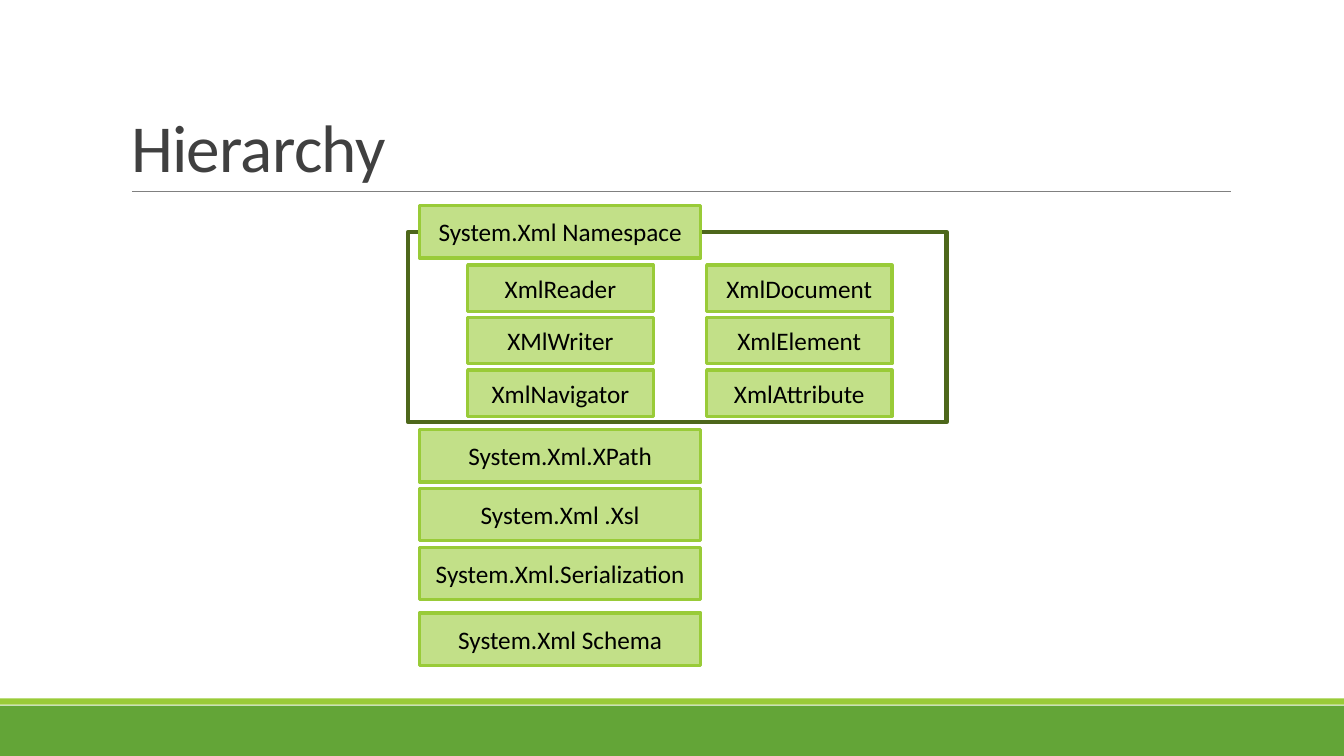
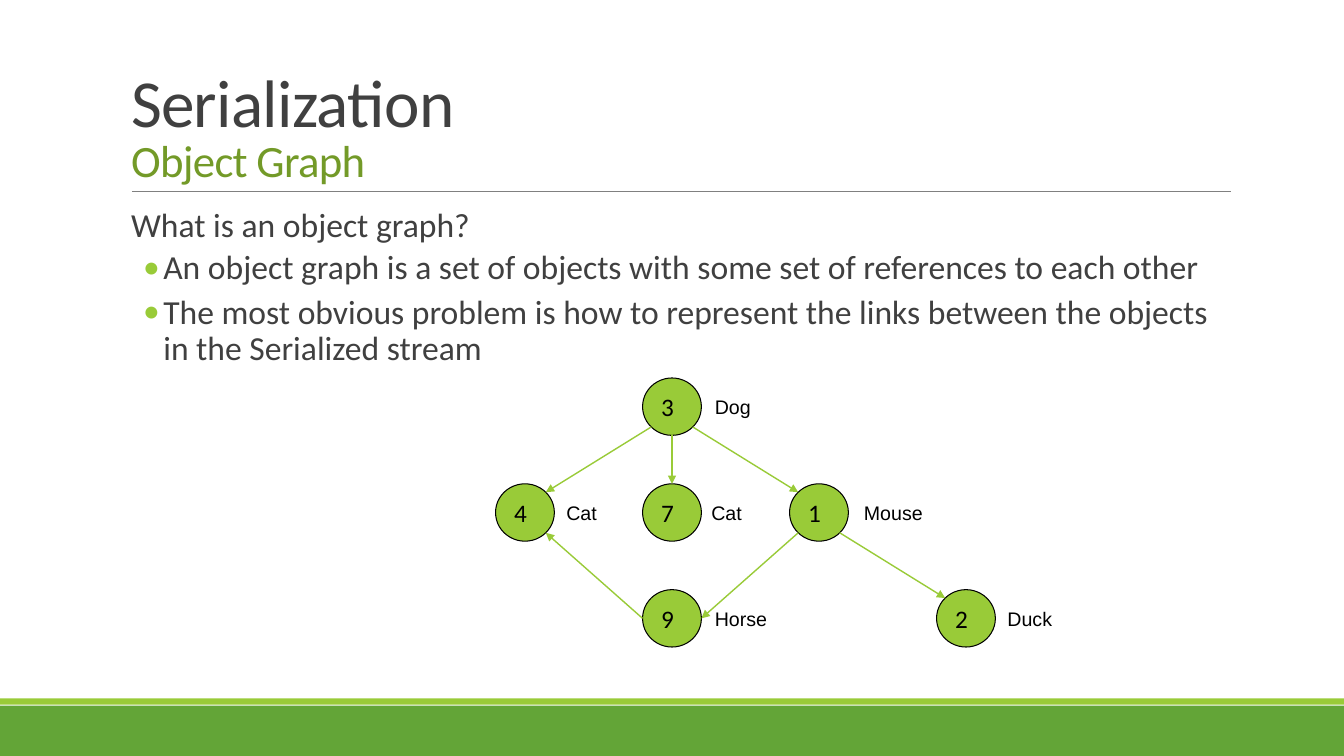
import math

import pptx
import pptx.dml.color
import pptx.enum.shapes
import pptx.enum.text
import pptx.oxml.ns
import pptx.oxml.xmlchemy
import pptx.util

Pt = pptx.util.Pt
qn = pptx.oxml.ns.qn
new_element = pptx.oxml.xmlchemy.OxmlElement
SHAPE = pptx.enum.shapes.MSO_SHAPE
ALIGN = pptx.enum.text.PP_ALIGN
ANCHOR = pptx.enum.text.MSO_ANCHOR
AUTO_SIZE = pptx.enum.text.MSO_AUTO_SIZE

COLORS = {
    "band": "63A537",
    "accent": "99CB38",
    "accent_light": "C2E088",
    "accent_dark": "4D671B",
    "subtitle": "739A28",
    "text": "404040",
    "rule": "808080",
    "black": "000000",
}
SLIDE_WIDTH, SLIDE_HEIGHT = 960, 540
CONTENT_LEFT, CONTENT_WIDTH = 86.4, 792
TITLE_BOX = (CONTENT_LEFT, 22.3, CONTENT_WIDTH, 114.5)
BODY_BOX = (CONTENT_LEFT, 145.4, CONTENT_WIDTH, 316.8)
TITLE_ONLY, TITLE_AND_CONTENT = 5, 1


def color(name):
    return pptx.dml.color.RGBColor.from_string(COLORS[name])


def place(shape, left, top, width, height):
    shape.left, shape.top = Pt(left), Pt(top)
    shape.width, shape.height = Pt(width), Pt(height)


def add_run(paragraph, text, size, color_name="black", font="Calibri"):
    run = paragraph.add_run()
    run.text = text
    run.font.name = font
    run.font.size = Pt(size)
    run.font.color.rgb = color(color_name)
    return run


def add_box(shapes, preset, box, fill=None, line=None, line_width=1):
    shape = shapes.add_shape(preset, *map(Pt, box))
    shape.shadow.inherit = False
    if fill:
        shape.fill.solid()
        shape.fill.fore_color.rgb = color(fill)
    else:
        shape.fill.background()
    if line:
        shape.line.color.rgb = color(line)
        shape.line.width = Pt(line_width)
    else:
        shape.line.fill.background()
    return shape


def add_line(slide, start, end, color_name, width, arrow=False):
    line = slide.shapes.add_connector(
        pptx.enum.shapes.MSO_CONNECTOR.STRAIGHT, *map(Pt, start + end))
    line.line.color.rgb = color(color_name)
    line.line.width = Pt(width)
    properties = line.element.spPr
    if arrow:
        tail = new_element("a:tailEnd")
        tail.set("type", "triangle")
        properties.find(qn("a:ln")).append(tail)
    properties.append(new_element("a:effectLst"))


def add_slide(presentation, layout_index, title, subtitle=None):
    """Add a slide with its bands, title rule and title."""
    slide = presentation.slides.add_slide(presentation.slide_layouts[layout_index])
    add_box(slide.shapes, SHAPE.RECTANGLE, (0, 504, SLIDE_WIDTH, 36), "band")
    add_box(slide.shapes, SHAPE.RECTANGLE, (0, 498.8, SLIDE_WIDTH, 4.6), "accent")
    add_line(slide, (94.3, 136.8), (879, 136.8), "rule", 0.5)

    place(slide.shapes.title, *TITLE_BOX)
    frame = slide.shapes.title.text_frame
    frame.auto_size = AUTO_SIZE.NONE
    frame.vertical_anchor = ANCHOR.BOTTOM
    paragraph = frame.paragraphs[0]
    paragraph.alignment = ALIGN.LEFT
    paragraph.line_spacing = 0.85
    runs = [add_run(paragraph, title, 48, "text")]
    if subtitle:
        paragraph.add_line_break()
        runs.append(add_run(paragraph, subtitle, 32, "subtitle"))
    for run in runs:
        run.font._element.set("spc", "-50")
    return slide


def set_bullet(paragraph, character, left, hanging):
    properties = paragraph._p.get_or_add_pPr()
    properties.set("marL", str(Pt(left)))
    properties.set("indent", str(-Pt(hanging)))
    if character is None:
        properties.append(new_element("a:buNone"))
        return
    bullet_color = new_element("a:buClr")
    value = new_element("a:srgbClr")
    value.set("val", COLORS["accent"])
    bullet_color.append(value)
    bullet_font = new_element("a:buFont")
    bullet_font.set("typeface", "Calibri")
    bullet = new_element("a:buChar")
    bullet.set("char", character)
    for element in (bullet_color, bullet_font, bullet):
        properties.append(element)


def fill_body(placeholder, box, heading, bullets):
    place(placeholder, *box)
    frame = placeholder.text_frame
    frame.auto_size = AUTO_SIZE.NONE
    frame.vertical_anchor = ANCHOR.TOP
    frame.margin_left = frame.margin_right = 0
    frame.margin_top = frame.margin_bottom = Pt(3.6)
    for index, text in enumerate([heading] + bullets):
        paragraph = frame.add_paragraph() if index else frame.paragraphs[0]
        if index:
            paragraph.level = 1
            set_bullet(paragraph, "•", 30.24, 14.4)
        else:
            set_bullet(paragraph, None, 7.2, 0)
        paragraph.alignment = ALIGN.LEFT
        paragraph.line_spacing = 0.9
        paragraph.space_before = Pt(2 if index else 0)
        paragraph.space_after = Pt(4 if index else 2)
        add_run(paragraph, text, 24, "text")


def add_hierarchy(slide, left, top):
    """Draw the namespaces in one column, the first framing its classes."""
    shapes = slide.shapes.add_group_shape().shapes

    def add_block(text, x, y, width, height):
        block = add_box(shapes, SHAPE.RECTANGLE, (left + x, top + y, width, height),
                        "accent_light", "accent", 2.25)
        frame = block.text_frame
        frame.word_wrap = False
        frame.vertical_anchor = ANCHOR.MIDDLE
        frame.paragraphs[0].alignment = ALIGN.CENTER
        add_run(frame.paragraphs[0], text, 18)

    add_box(shapes, SHAPE.RECTANGLE, (left, top + 18.7, 384.5, 136),
            line="accent_dark", line_width=3)
    class_columns = [
        ["XmlReader", "XMlWriter", "XmlNavigator"],
        ["XmlDocument", "XmlElement", "XmlAttribute"],
    ]
    for column, names in enumerate(class_columns):
        for row, name in enumerate(names):
            add_block(name, 42.5 + 170.6 * column, 42.4 + 37.5 * row, 132.5, 33)
    namespaces = [
        ("System.Xml Namespace", 0),
        ("System.Xml.XPath", 160),
        ("System.Xml .Xsl", 202),
        ("System.Xml.Serialization", 244),
        ("System.Xml Schema", 291),
    ]
    for name, y in namespaces:
        add_block(name, 8, y, 201, 37.4)


def add_object_graph(slide, left, top):
    """Draw numbered nodes on a grid, their labels and the references."""
    width, height = 42, 41
    column_step, row_step = 105, 75.6
    label_height = 24
    # number: (column, row, label, label gap, label width)
    nodes = {
        3: (1, 0, "Dog", 2.5, 42),
        7: (1, 1, "Cat", 0, 36.7),
        4: (0, 1, "Cat", 1.4, 36.7),
        1: (2, 1, "Mouse", 4, 58.3),
        9: (1, 2, "Horse", 2.5, 54),
        2: (3, 2, "Duck", 1.5, 46.8),
    }
    # start node, angle on its rim, end node, angle on its rim
    references = [
        (3, 90, 7, 270), (3, 135, 4, 315), (3, 45, 1, 225),
        (1, 135, 9, 0), (9, 180, 4, 45), (1, 45, 2, 225),
    ]

    def corner(number):
        column, row = nodes[number][:2]
        return left + column * column_step, top + row * row_step

    def rim(number, degrees):
        x, y = corner(number)
        angle = math.radians(degrees)
        return (x + width / 2 * (1 + math.cos(angle)),
                y + height / 2 * (1 + math.sin(angle)))

    for number, (_, _, label, gap, label_width) in nodes.items():
        x, y = corner(number)
        circle = add_box(slide.shapes, SHAPE.OVAL, (x, y, width, height),
                         "accent", "black", 0.75)
        circle.text_frame.vertical_anchor = ANCHOR.MIDDLE
        paragraph = circle.text_frame.paragraphs[0]
        paragraph.alignment = ALIGN.LEFT
        add_run(paragraph, str(number), 18)

        label_box = slide.shapes.add_textbox(
            Pt(x + width + gap), Pt(y + (height - label_height) / 2),
            Pt(label_width), Pt(label_height))
        label_box.text_frame.word_wrap = False
        label_box.text_frame.auto_size = AUTO_SIZE.SHAPE_TO_FIT_TEXT
        add_run(label_box.text_frame.paragraphs[0], label, 14, font="Arial")

    for start, start_angle, end, end_angle in references:
        add_line(slide, rim(start, start_angle), rim(end, end_angle),
                 "accent", 1, arrow=True)


def add_hierarchy_slide(presentation):
    slide = add_slide(presentation, TITLE_ONLY, "Hierarchy")
    add_hierarchy(slide, 291.6, 146.9)


def add_serialization_slide(presentation):
    slide = add_slide(presentation, TITLE_AND_CONTENT, "Serialization", "Object Graph")
    fill_body(slide.placeholders[1], BODY_BOX, "What is an object graph?", [
        "An object graph is a set of objects with some set of references to each other",
        "The most obvious problem is how to represent the links between the objects "
        "in the Serialized stream",
    ])
    add_object_graph(slide, 354, 270)


def main():
    presentation = pptx.Presentation()
    presentation.slide_width = Pt(SLIDE_WIDTH)
    presentation.slide_height = Pt(SLIDE_HEIGHT)
    add_hierarchy_slide(presentation)
    add_serialization_slide(presentation)
    presentation.save("out.pptx")


if __name__ == "__main__":
    main()
